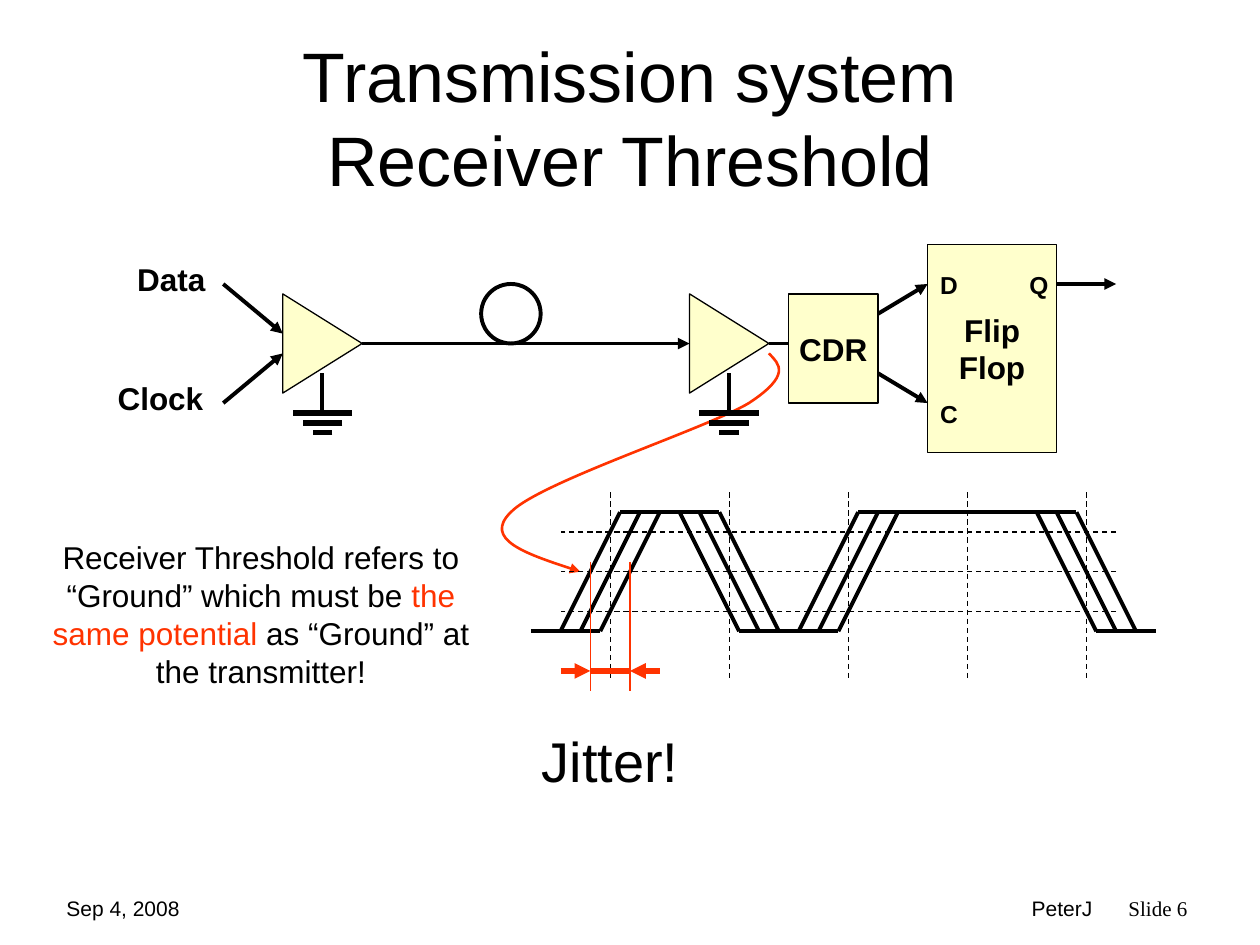
import itertools

import pptx
import pptx.dml.color
import pptx.enum.dml
import pptx.enum.shapes
import pptx.enum.text
import pptx.oxml
import pptx.oxml.ns
import pptx.util

COLORS = {"ink": "000000", "block": "FFFFCC", "accent": "FF3300"}
SHAPES = pptx.enum.shapes.MSO_SHAPE
ALIGN = pptx.enum.text.PP_ALIGN
ANCHOR = pptx.enum.text.MSO_ANCHOR

# The drawing sits on a grid of 1 mm columns and rows; rows start slightly lower.
ROW_OFFSET = 0.25

# (runs, left, top, width, height, size, bold, align, wrap, font)
CAPTIONS = [
    ([("Transmission system\vReceiver Threshold", "ink")],
     12.7, 7.4, 228.6, 31.75, 40, False, ALIGN.CENTER, True, "Arial"),
    ([("Receiver Threshold refers to “Ground” which must be ", "ink"),
      ("the same potential", "accent"),
      (" as “Ground” at the transmitter!", "ink")],
     6.9, 107, 91.4, 33, 18, False, ALIGN.CENTER, True, "Arial"),
    ([("Jitter!", "ink")], 101, 145, 44, 16.3, 32, False, ALIGN.CENTER, True, "Arial"),
    ([("Data", "ink")], 25.1, 51, 18.8, 10.2, 18, True, ALIGN.RIGHT, False, "Arial"),
    ([("Clock", "ink")], 21.1, 75, 22.4, 10.2, 18, True, ALIGN.RIGHT, False, "Arial"),
    ([("D", "ink")], 187, 53, 8.6, 8.6, 14, True, ALIGN.CENTER, False, "Arial"),
    ([("C", "ink")], 187, 79, 8.6, 8.6, 14, True, ALIGN.CENTER, False, "Arial"),
    ([("Q", "ink")], 205, 53, 8.9, 8.6, 14, True, ALIGN.CENTER, False, "Arial"),
    ([("Sep 4, 2008", "ink")],
     10.9, 179, 36.8, 7.4, 12, False, ALIGN.LEFT, True, "Arial"),
    ([("PeterJ", "ink")], 161, 179, 61.7, 7.4, 12, False, ALIGN.RIGHT, True, "Arial"),
    ([("Slide 6", "ink")],
     225, 179, 23.9, 7.4, 12, False, ALIGN.LEFT, True, "Times New Roman"),
]

# (text, left, top, width, height)
BLOCKS = [("Flip\nFlop", 187, 49, 26, 42), ("CDR", 159, 59, 18, 22)]
AMPLIFIER_LEFTS = [57, 139]
AMPLIFIER_LENGTH, AMPLIFIER_HEIGHT, SIGNAL_ROW = 16, 20, 69

# (start, end)
SIGNAL_ARROWS = [
    ((45, 57), (57, 67)), ((45, 81), (57, 71)), ((73, 69), (139, 69)),
    ((177, 63), (187, 57)), ((177, 75), (187, 81)), ((213, 57), (225, 57)),
]

# (row, half width) of each ground bar
GROUND_BARS = [(83, 6), (85, 4), (87, 2)]

HIGH, LOW = 103, 127
WAVE = [(107, LOW), (113, LOW), (125, HIGH), (137, HIGH), (149, LOW),
        (161, LOW), (173, HIGH), (209, HIGH), (221, LOW), (225, LOW)]
WAVE_SHIFTS = [0, 4, 8]
CLOCK_COLUMNS = range(123, 220, 24)
THRESHOLD_ROWS = [107, 115, 123]
JITTER_EDGES = (119, 127)
JITTER_ROW = 135

# Start point, then two control points and an end point for each curve
POINTER = [(155, 71), (157.2, 73.2), (159.5, 75.4), (151, 81),
           (142.3, 86.2), (108.7, 97), (103, 103),
           (97.3, 108.5), (107.2, 111.8), (117, 115)]


def color(name):
    return pptx.dml.color.RGBColor.from_string(COLORS[name])


def cell(column, row):
    return pptx.util.Mm(column), pptx.util.Mm(row + ROW_OFFSET)


def style_line(line, name, width):
    line.color.rgb = color(name)
    line.width = pptx.util.Pt(width)


def add_arrowhead(line):
    head = pptx.oxml.parse_xml(
        f'<a:tailEnd {pptx.oxml.ns.nsdecls("a")} type="triangle"/>')
    line._get_or_add_ln().append(head)


def add_line(start, end, name="ink", width=2.25, arrow=False, dashed=False):
    connector = slide.shapes.add_connector(
        pptx.enum.shapes.MSO_CONNECTOR.STRAIGHT, *cell(*start), *cell(*end))
    style_line(connector.line, name, width)
    if dashed:
        connector.line.dash_style = pptx.enum.dml.MSO_LINE.DASH
    if arrow:
        add_arrowhead(connector.line)
    connector._element.spPr.append(
        pptx.oxml.parse_xml(f'<a:effectLst {pptx.oxml.ns.nsdecls("a")}/>'))


def add_outline(kind, left, top, width, height, fill="block", line_width=0.75):
    shape = slide.shapes.add_shape(
        kind, *cell(left, top), pptx.util.Mm(width), pptx.util.Mm(height))
    shape.shadow.inherit = False
    if fill:
        shape.fill.solid()
        shape.fill.fore_color.rgb = color(fill)
    else:
        shape.fill.background()
    style_line(shape.line, "ink", line_width)
    return shape


def style_font(font, name, size, bold, typeface="Arial"):
    font.name = typeface
    font.size = pptx.util.Pt(size)
    font.bold = bold
    font.color.rgb = color(name)


def add_block(text, *box):
    frame = add_outline(SHAPES.RECTANGLE, *box).text_frame
    frame.text = text
    frame.word_wrap = False
    frame.vertical_anchor = ANCHOR.MIDDLE
    for paragraph in frame.paragraphs:
        paragraph.alignment = ALIGN.CENTER
        style_font(paragraph.runs[0].font, "ink", 18, True)


def add_caption(runs, left, top, width, height, size, bold, align, wrap, typeface):
    frame = slide.shapes.add_textbox(
        *cell(left, top), pptx.util.Mm(width), pptx.util.Mm(height)).text_frame
    frame.word_wrap = wrap
    frame.vertical_anchor = ANCHOR.MIDDLE if size == 40 else ANCHOR.TOP
    paragraph = frame.paragraphs[0]
    paragraph.alignment = align
    paragraph.text = runs[0][0]
    for text, _ in runs[1:]:
        paragraph.add_run().text = text
    names = [name for _, name in runs]
    for run, name in itertools.zip_longest(paragraph.runs, names, fillvalue="ink"):
        style_font(run.font, name, size, bold, typeface)


def add_pointer(points):
    """Draw a curved arrow; each three points after the first make one Bezier."""
    start, *rest = [cell(*point) for point in points]
    builder = slide.shapes.build_freeform(*start)
    builder.add_line_segments(rest, close=False)
    pointer = builder.convert_to_shape()
    pointer.shadow.inherit = False
    pointer.fill.background()
    style_line(pointer.line, "accent", 1.5)
    add_arrowhead(pointer.line)
    outline = pointer._element.find(".//" + pptx.oxml.ns.qn("a:path"))
    segments = list(outline)[1:]
    for first in range(0, len(segments), 3):
        curve = pptx.oxml.parse_xml(
            f'<a:cubicBezTo {pptx.oxml.ns.nsdecls("a")}/>')
        for segment in segments[first:first + 3]:
            curve.append(segment[0])
            outline.remove(segment)
        outline.append(curve)


presentation = pptx.Presentation()
presentation.slide_width = pptx.util.Inches(10)
presentation.slide_height = pptx.util.Inches(7.5)
slide = presentation.slides.add_slide(presentation.slide_layouts[6])

for block in BLOCKS:
    add_block(*block)
for left in AMPLIFIER_LEFTS:
    center = left + AMPLIFIER_LENGTH / 2
    amplifier = add_outline(
        SHAPES.ISOSCELES_TRIANGLE, center - AMPLIFIER_HEIGHT / 2,
        SIGNAL_ROW - AMPLIFIER_LENGTH / 2, AMPLIFIER_HEIGHT, AMPLIFIER_LENGTH)
    amplifier.rotation = 90
for start, end in SIGNAL_ARROWS:
    add_line(start, end, arrow=True)
add_line((155, SIGNAL_ROW), (159, SIGNAL_ROW))
add_outline(SHAPES.OVAL, 97, 57, 12, 12, fill=None, line_width=2.25)
add_pointer(POINTER)

for left in AMPLIFIER_LEFTS:
    center = left + AMPLIFIER_LENGTH / 2
    add_line((center, 75), (center, GROUND_BARS[0][0]))
    for row, half in GROUND_BARS:
        add_line((center + half, row), (center - half, row), width=3)

for column in CLOCK_COLUMNS:
    add_line((column, 99), (column, 137), width=0.75, dashed=True)
for row in THRESHOLD_ROWS:
    add_line((225, row), (113, row), width=0.75, dashed=True)
for shift in WAVE_SHIFTS:
    for (x1, y1), (x2, y2) in itertools.pairwise(WAVE):
        add_line((x1 + shift, y1), (x2 + shift, y2))

early, late = JITTER_EDGES
add_line((early - 6, JITTER_ROW), (early, JITTER_ROW), "accent", 3, arrow=True)
add_line((late + 6, JITTER_ROW), (late, JITTER_ROW), "accent", 3, arrow=True)
add_line((late, JITTER_ROW), (early, JITTER_ROW), "accent", 3)
for edge in JITTER_EDGES:
    add_line((edge, 113), (edge, 139), "accent", 0.75)

for caption in CAPTIONS:
    add_caption(*caption)

presentation.save("out.pptx")
